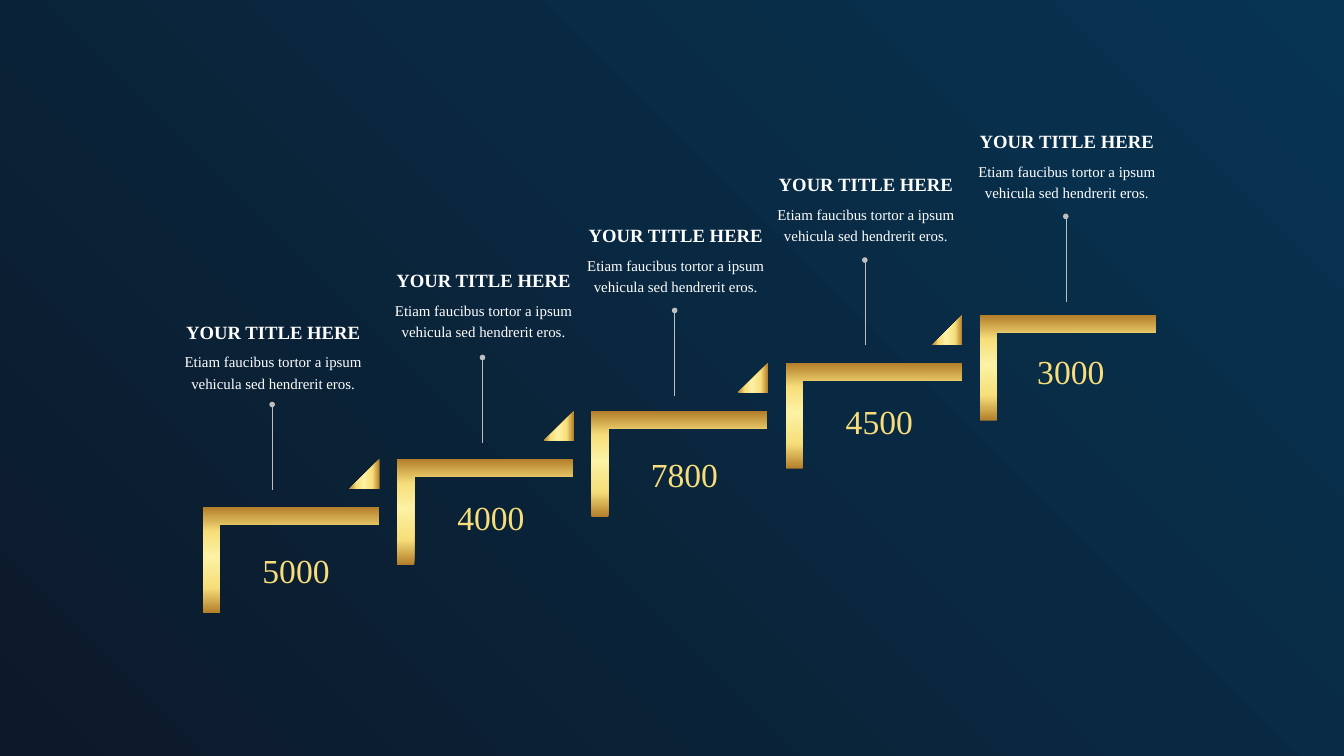
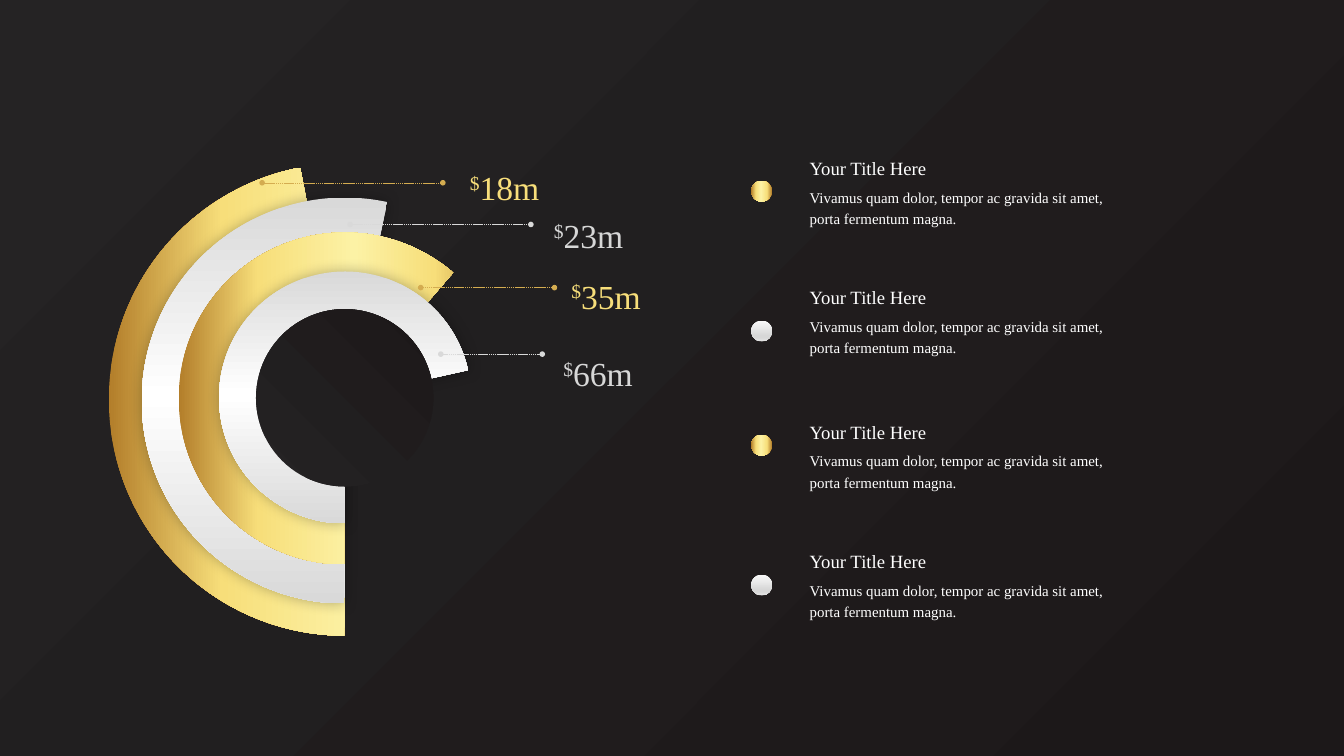
from lxml import etree
from pptx import Presentation
from pptx import util as u
from pptx.dml.color import RGBColor
from pptx.enum import dml, shapes, text
from pptx.oxml.ns import qn

FONT = "Times New Roman"
WHITE = RGBColor(0xFF, 0xFF, 0xFF)
PIN_GREY = RGBColor(0xBF, 0xBF, 0xBF)
DARK_GOLD = RGBColor(0xB3, 0x7E, 0x2A)
GOLD = RGBColor(0xF7, 0xDE, 0x7A)
PALE_GOLD = RGBColor(0xFC, 0xF2, 0xA5)
LEADER_GOLD = RGBColor(0xD4, 0xAC, 0x50)
SILVER = RGBColor(0xD9, 0xD9, 0xD9)
NEAR_WHITE = RGBColor(0xFA, 0xFA, 0xFA)
MID_SILVER = RGBColor(0xD7, 0xD7, 0xD7)
LIGHT_SILVER = RGBColor(0xE4, 0xE4, 0xE4)
BLUE = RGBColor(0x07, 0x34, 0x53)
NAVY = RGBColor(0x0C, 0x19, 0x2A)
BLACK = RGBColor(0x1C, 0x18, 0x19)
CHARCOAL = RGBColor(0x25, 0x23, 0x24)

# Gradients: stops, then an angle in degrees or the (left, top, right, bottom) focus
GOLD_FILL = ([(0, DARK_GOLD), (24, GOLD), (53, PALE_GOLD), (77, GOLD), (100, DARK_GOLD)], 180)
RING_SILVER = ([(0, SILVER), (49, WHITE), (100, SILVER)], 90)
SILVER_FILL = ([(0, NEAR_WHITE), (74, MID_SILVER), (83, MID_SILVER), (100, LIGHT_SILVER)], 90)
NAVY_GLOW = ([(0, BLUE), (100, NAVY)], (100, 0, 0, 100))
BLACK_GLOW = ([(0, BLACK), (100, CHARCOAL)], (100, 100, 0, 0))
HUB_GLOW = (BLACK_GLOW[0], (100, 0, 0, 100))


def add_element(parent, tag, **attributes):
    return etree.SubElement(parent, qn(tag), {key: str(value) for key, value in attributes.items()})


def paint(fill, element, gradient):
    """Give the fill held by element a gradient."""
    stops, direction = gradient
    fill.solid()
    solid = element.find(".//" + qn("a:solidFill"))
    gradient_fill = etree.Element(qn("a:gradFill"), rotWithShape="1")
    stop_list = add_element(gradient_fill, "a:gsLst")
    for position, color in stops:
        stop = add_element(stop_list, "a:gs", pos=position * 1000)
        add_element(stop, "a:srgbClr", val=color)
    if isinstance(direction, tuple):
        focus = add_element(gradient_fill, "a:path", path="circle")
        sides = {side: value * 1000 for side, value in zip("ltrb", direction)}
        add_element(focus, "a:fillToRect", **sides)
    else:
        add_element(gradient_fill, "a:lin", ang=direction * 60000, scaled=0)
    solid.getparent().replace(solid, gradient_fill)


def add_slide(presentation, gradient):
    slide = presentation.slides.add_slide(presentation.slide_layouts[6])
    paint(slide.background.fill, slide.background._cSld, gradient)
    return slide


def add_shape(parent, kind, left, top, width, height, gradient, flip=False, shadow=False):
    shape = parent.shapes.add_shape(
        kind, u.Inches(left), u.Inches(top), u.Inches(width), u.Inches(height))
    shape.shadow.inherit = False
    paint(shape.fill, shape._element.spPr, gradient)
    shape.line.fill.background()
    if flip:
        shape._element.spPr.find(qn("a:xfrm")).set("flipH", "1")
    if shadow:
        effects = shape._element.spPr.find(qn("a:effectLst"))
        outer = add_element(effects, "a:outerShdw", blurRad=u.Pt(15), dist=0, dir=0,
                            algn="ctr", rotWithShape=0)
        add_element(add_element(outer, "a:srgbClr", val="000000"), "a:alpha", val=28000)
    return shape


def add_text(slide, left, top, width, height, parts, size, color=WHITE, bold=False,
             centered=True, spacing=1.2, wrap=True):
    """Add one paragraph made of parts; color is an RGBColor or a gradient."""
    box = slide.shapes.add_textbox(
        u.Inches(left), u.Inches(top), u.Inches(width), u.Inches(height))
    frame = box.text_frame
    frame.word_wrap = wrap
    frame.auto_size = text.MSO_AUTO_SIZE.SHAPE_TO_FIT_TEXT
    paragraph = frame.paragraphs[0]
    paragraph.alignment = text.PP_ALIGN.CENTER if centered else text.PP_ALIGN.LEFT
    paragraph.line_spacing = spacing
    for part in parts:
        run = paragraph.add_run()
        run.text = part
        run.font.name = FONT
        run.font.size = u.Pt(size)
        run.font.bold = bold
        if isinstance(color, RGBColor):
            run.font.color.rgb = color
        else:
            paint(run.font.fill, run._r, color)
    return paragraph


def add_line(slide, start, end, color, ends, dashed=False):
    connector = slide.shapes.add_connector(
        shapes.MSO_CONNECTOR.STRAIGHT, *[u.Inches(value) for value in start + end])
    connector.line.color.rgb = color
    connector.line.width = u.Pt(0.5)
    if dashed:
        connector.line.dash_style = dml.MSO_LINE.SQUARE_DOT
    for end_tag in ends:
        add_element(connector.line._get_or_add_ln(), end_tag, type="oval")
    add_element(connector._element.spPr, "a:effectLst")


# Staircase slide
def add_step(group, left, top, has_riser):
    """Draw a tread whose visible box is 2.62 by 1.57, and the triangle above it."""
    width, height = 2.62, 1.57
    tread = add_shape(group, shapes.MSO_SHAPE.CORNER, left + (width - height) / 2,
                      top + (height - width) / 2, height, width, GOLD_FILL)
    tread.rotation = 90
    tread.adjustments[0] = tread.adjustments[1] = 0.161
    if has_riser:
        triangle = add_shape(group, shapes.MSO_SHAPE.ISOSCELES_TRIANGLE,
                             left + 2.18, top - 0.72, 0.45, 0.45, GOLD_FILL)
        triangle.adjustments[0] = 1


def add_caption(slide, left, top, pin_top):
    """Draw a heading, its text and the pin that points down to the step."""
    add_text(slide, left, top, 3.51, 0.47, ["YOUR TITLE HERE"], 20, bold=True)
    add_text(slide, left + 0.15, top + 0.49, 3.21, 0.72,
             ["Etiam faucibus tortor a ipsum vehicula sed hendrerit eros."], 16)
    pin_x = left + 1.74
    add_line(slide, (pin_x, pin_top + 1.27), (pin_x, pin_top), PIN_GREY, ["a:tailEnd"])


def build_staircase(presentation):
    slide = add_slide(presentation, NAVY_GLOW)
    # value, its left and top, caption left and top, pin top
    steps = [
        ("5000", 3.8, 8.13, 2.31, 4.66, 6.02),
        ("4000", 6.7, 7.35, 5.44, 3.89, 5.32),
        ("7800", 9.58, 6.7, 8.3, 3.22, 4.62),
        ("4500", 12.48, 5.91, 11.13, 2.46, 3.87),
        ("3000", 15.33, 5.17, 14.12, 1.82, 3.22),
    ]
    staircase = slide.shapes.add_group_shape()
    for index, (value, value_left, value_top, left, top, pin_top) in enumerate(steps):
        add_step(staircase, 3.02 + 2.89 * index, 7.55 - 0.715 * index, index < len(steps) - 1)
        add_caption(slide, left, top, pin_top)
        add_text(slide, value_left, value_top, 1.21, 0.71, [value], 36, GOLD_FILL,
                 spacing=None, wrap=False)


# Ring slide
def add_rings(slide):
    # left, top, diameter, start angle, fill
    rings = [
        (1.62, 2.43, 7.03, 280.97, GOLD_FILL),
        (2.11, 2.94, 6.04, 257.88, RING_SILVER),
        (2.66, 3.46, 4.94, 229.26, GOLD_FILL),
        (3.26, 4.04, 3.75, 192.54, RING_SILVER),
    ]
    for left, top, size, start, gradient in rings:
        ring = add_shape(slide, shapes.MSO_SHAPE.PIE, left, top, size, size, gradient,
                         flip=True, shadow=gradient is RING_SILVER)
        # Angles are in 60000ths of a degree, adjustments in 100000ths
        ring.adjustments[0] = start * 0.6
        ring.adjustments[1] = 89.8 * 0.6
    add_shape(slide, shapes.MSO_SHAPE.OVAL, 3.81, 4.6, 2.64, 2.64, HUB_GLOW, flip=True)


def add_amounts(slide):
    # amount, its left and top, leader start, end and height
    amounts = [
        ("18m", 6.53, 2.31, 3.9, 6.59, 2.72),
        ("23m", 7.78, 3.03, 5.21, 7.9, 3.34),
        ("35m", 8.04, 3.93, 6.26, 8.25, 4.28),
        ("66m", 7.92, 5.08, 6.56, 8.07, 5.27),
    ]
    for index, (amount, left, top, start, end, y) in enumerate(amounts):
        color, gradient = [(LEADER_GOLD, GOLD_FILL), (SILVER, SILVER_FILL)][index % 2]
        add_line(slide, (start, y), (end, y), color, ["a:headEnd", "a:tailEnd"], dashed=True)
        paragraph = add_text(slide, left, top, 1.96, 0.76, ["$", amount], 36, gradient)
        paragraph.runs[0]._r.get_or_add_rPr().set("baseline", "30000")


def add_legend(slide, left):
    entries = [(2.22, 2.69), (4.14, 4.77), (6.14, 6.47), (8.07, 8.55)]
    for index, (top, marker_top) in enumerate(entries):
        add_shape(slide, shapes.MSO_SHAPE.OVAL, left, marker_top, 0.31, 0.31,
                  [GOLD_FILL, SILVER_FILL][index % 2])
        add_text(slide, left + 0.77, top, 3.73, 0.47, ["Your Title Here"], 20, centered=False)
        add_text(slide, left + 0.77, top + 0.48, 4.74, 0.75,
                 ["Vivamus quam dolor, tempor ac gravida sit amet, porta fermentum magna."],
                 16, centered=False)


def build_rings(presentation):
    slide = add_slide(presentation, BLACK_GLOW)
    add_rings(slide)
    add_amounts(slide)
    add_legend(slide, 11.18)


def main():
    presentation = Presentation()
    presentation.slide_width = u.Inches(20)
    presentation.slide_height = u.Inches(11.25)
    build_staircase(presentation)
    build_rings(presentation)
    presentation.save("out.pptx")


if __name__ == "__main__":
    main()
